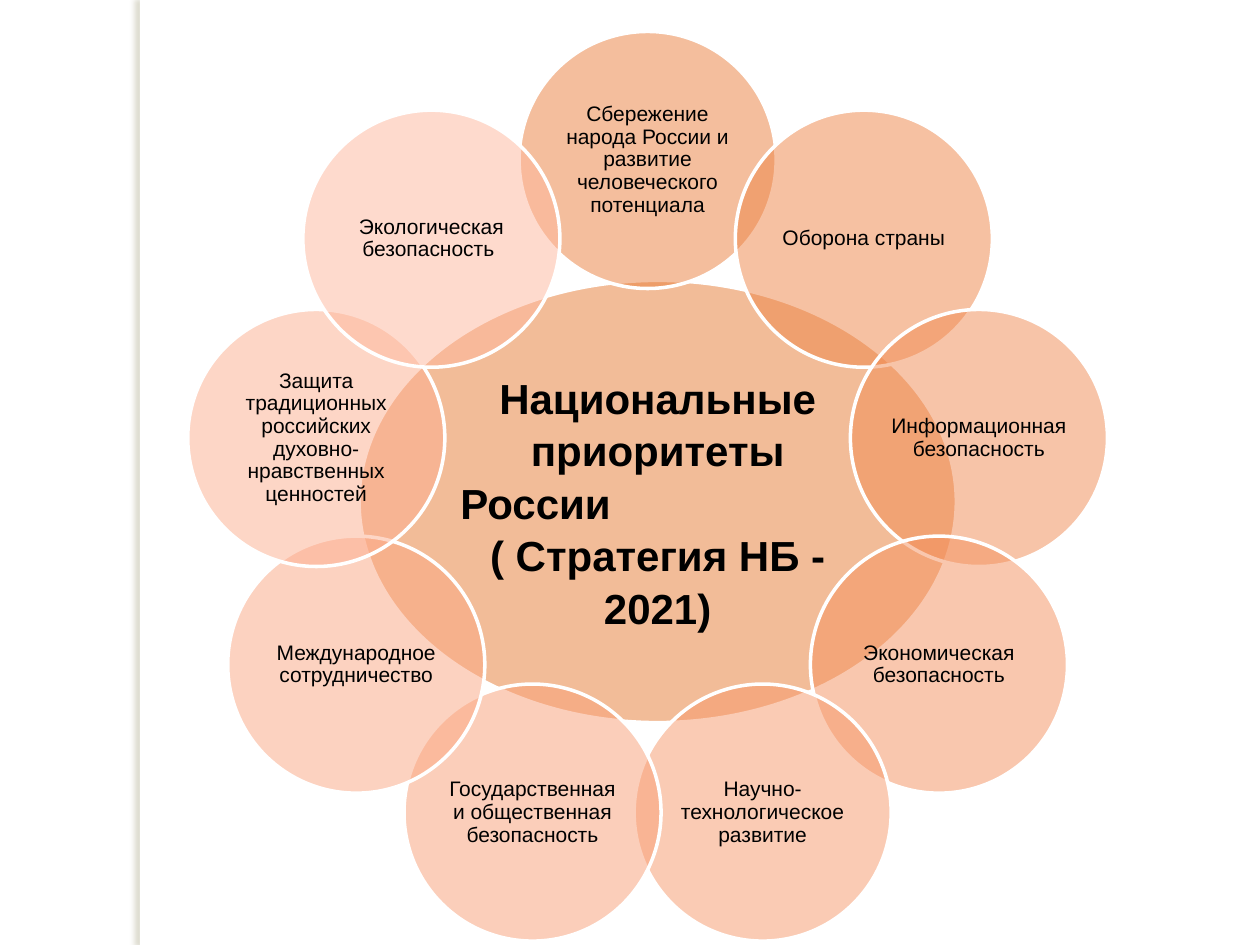
"""Build a slide with nine national priorities arranged around a central ellipse."""
from math import cos, radians, sin
from typing import NamedTuple

from lxml.etree import SubElement
from pptx import Presentation
from pptx.dml.color import RGBColor as RGB
from pptx.enum.shapes import MSO_SHAPE as SHAPE
from pptx.enum.text import MSO_ANCHOR as ANCHOR, PP_ALIGN as ALIGN
from pptx.oxml.ns import qn
from pptx.util import Inches, Pt

COLORS = {
    "white": "FFFFFF", "text": "000000", "shadow": "817B4C", "center": "E77A32",
    "people": "EA7F3C", "defence": "EE8547", "information": "F18B52",
    "economy": "F4915E", "science": "F7986A", "state": "F99F76",
    "international": "FBA782", "values": "FDAE8F", "ecology": "FEB79C",
}
RING_X, RING_Y, RING_RADIUS = 5.14, 3.94, 2.67
PETAL_SIZE = 2.04


class Petal(NamedTuple):
    text: str
    color: str


class Line(NamedTuple):
    text: str
    align: ALIGN = ALIGN.CENTER
    indent: float = 0


PETALS = [
    Petal("Сбережение народа России и развитие человеческого потенциала", "people"),
    Petal("Оборона страны", "defence"),
    Petal("Информационная безопасность", "information"),
    Petal("Экономическая безопасность", "economy"),
    Petal("Научно-технологическое развитие", "science"),
    Petal("Государственная и общественная безопасность", "state"),
    Petal("Международное сотрудничество", "international"),
    Petal("Защита традиционных российских духовно-нравственных ценностей", "values"),
    Petal("Экологическая безопасность ", "ecology"),
]
CENTER_LINES = [
    Line("Национальные приоритеты"),
    Line("России", ALIGN.LEFT, 0.08),
    Line("( Стратегия НБ - 2021)"),
]


def rgb(name: str) -> RGB:
    return RGB.from_string(COLORS[name])


def add_bar(s) -> None:
    """Draw the white side bar with its shadow on the left."""
    sp = s.shapes.add_shape(SHAPE.RECTANGLE, Inches(1.11), 0, Inches(0.08), Inches(7.5))
    sp.fill.solid()
    sp.fill.fore_color.rgb = rgb("white")
    sp.line.fill.background()
    effects = SubElement(sp._element.spPr, qn("a:effectLst"))
    shadow = SubElement(effects, qn("a:outerShdw"), blurRad=str(Pt(3)),
                        dist=str(Pt(3)), dir="10800000", algn="tl", rotWithShape="0")
    color = SubElement(shadow, qn("a:srgbClr"), val=COLORS["shadow"])
    SubElement(color, qn("a:alpha"), val="25000")


def add_ellipse(s, x: float, y: float, w: float, h: float, color: str,
                lines: list[Line], size: int, bold: bool, spacing: float,
                inset: float) -> None:
    """Draw a half-transparent ellipse centred on x, y with text inside."""
    sp = s.shapes.add_shape(SHAPE.OVAL, Inches(x - w / 2), Inches(y - h / 2),
                            Inches(w), Inches(h))
    sp.shadow.inherit = False
    sp.fill.solid()
    sp.fill.fore_color.rgb = rgb(color)
    fill = sp._element.spPr.find(qn("a:solidFill")).find(qn("a:srgbClr"))
    SubElement(fill, qn("a:alpha"), val="50000")
    sp.line.color.rgb = rgb("white")
    sp.line.width = Pt(2)
    tf = sp.text_frame
    tf.word_wrap = True
    tf.vertical_anchor = ANCHOR.MIDDLE
    tf.margin_left = tf.margin_right = tf.margin_top = tf.margin_bottom = Inches(inset)
    tf.text = "\n".join(line.text for line in lines)
    for p, line in zip(tf.paragraphs, lines):
        p.alignment = line.align
        p.line_spacing = spacing
        if line.indent:
            p._p.get_or_add_pPr().set("marL", str(Inches(line.indent)))
        for r in p.runs:
            r.font.name = "Arial"
            r.font.size = Pt(size)
            r.font.bold = bold
            r.font.color.rgb = rgb("text")


def main() -> None:
    """Assemble and save the slide."""
    prs = Presentation()
    prs.slide_width, prs.slide_height = Inches(10), Inches(7.5)
    s = prs.slides.add_slide(prs.slide_layouts[6])
    add_bar(s)
    add_ellipse(s, 5.22, 3.98, 4.74, 3.51, "center", CENTER_LINES, 24, True, 1.04, 0.03)
    for i, petal in enumerate(PETALS):
        angle = radians(i * 360 / len(PETALS))
        add_ellipse(s, RING_X + RING_RADIUS * sin(angle),
                    RING_Y - RING_RADIUS * cos(angle), PETAL_SIZE, PETAL_SIZE,
                    petal.color, [Line(petal.text)], 12, False, 0.9, 0.02)
    prs.save("out.pptx")


if __name__ == "__main__":
    main()
